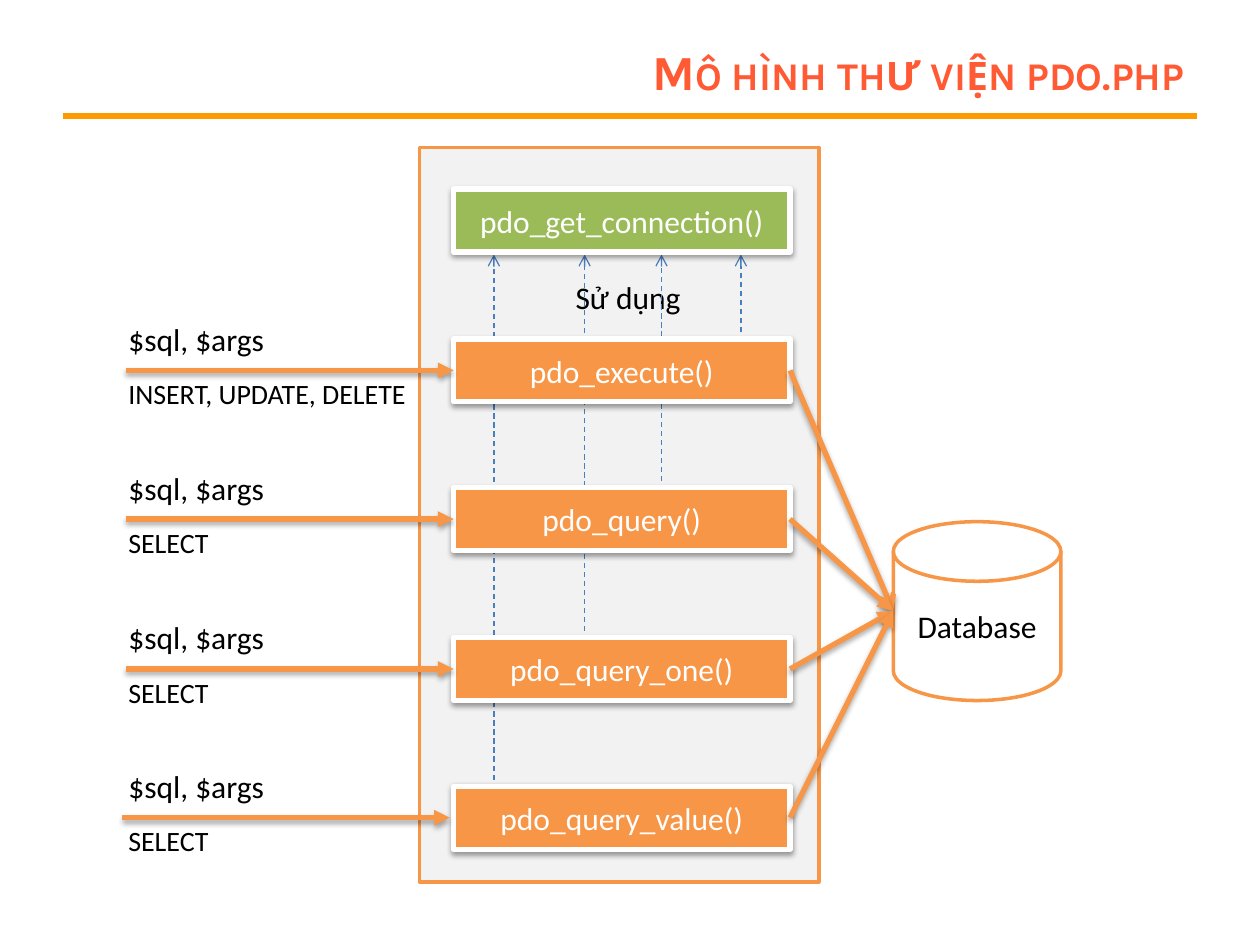
from dataclasses import dataclass

from lxml.etree import SubElement
from pptx import Presentation
from pptx.dml.color import RGBColor
from pptx.enum.dml import MSO_LINE as Dash
from pptx.enum.shapes import MSO_CONNECTOR as Link, MSO_SHAPE as Form
from pptx.enum.text import MSO_ANCHOR as Anchor, MSO_AUTO_SIZE as Fit, PP_ALIGN as Align
from pptx.oxml.ns import qn
from pptx.util import Pt

PX = 9144  # 100 px to the inch
ORANGE, GREEN, BLUE = "F79646", "9BBB59", "4B7EBC"
WHITE, BLACK, GRAY = "FFFFFF", "000000", "F2F2F2"
LEFT, RIGHT = 1, 3  # sides of a box


@dataclass
class Box:
    x: int
    y: int
    w: int
    h: int

    @property
    def mid(self) -> int:
        return self.y + self.h // 2

    def emu(self) -> tuple:
        return tuple(n * PX for n in (self.x, self.y, self.w, self.h))


@dataclass
class Call:
    name: str
    verb: str
    width: int  # of the verb label
    start: int  # left end of the arrow
    head: str  # arrowhead at the database


def color(code: str) -> RGBColor:
    return RGBColor.from_string(code)


def write(shape, text: str, size=18, font="Calibri", ink=BLACK, bold=False,
          align=Align.LEFT, anchor=Anchor.TOP, wrap=True, grow=False, small=False):
    frame = shape.text_frame
    frame.word_wrap = wrap
    frame.auto_size = Fit.SHAPE_TO_FIT_TEXT if grow else Fit.NONE
    frame.vertical_anchor = anchor
    para = frame.paragraphs[0]
    para.alignment = align
    run = para.add_run()
    run.text = text
    run.font.size, run.font.name, run.font.bold = Pt(size), font, bold
    run.font.color.rgb = color(ink)
    if small:
        run.font._element.set("cap", "small")


def shade(effects, alpha: int, dist: int):
    drop = SubElement(effects, qn("a:outerShdw"), blurRad="40000", dist=str(dist),
                      dir="5400000", rotWithShape="0")
    tint = SubElement(drop, qn("a:srgbClr"), val=BLACK)
    SubElement(tint, qn("a:alpha"), val=str(alpha * 1000))


def block(form, box: Box, fill: str, edge: str, width: float, drop=False):
    shape = slide.shapes.add_shape(form, *box.emu())
    shape.fill.solid()
    shape.fill.fore_color.rgb = color(fill)
    shape.line.color.rgb = color(edge)
    shape.line.width = Pt(width)
    shape.shadow.inherit = False
    if drop:
        shade(shape._element.spPr.find(qn("a:effectLst")), 38, 20000)
    return shape


def label(box: Box, text: str, **style):
    write(slide.shapes.add_textbox(*box.emu()), text, **style)


def stroke(x1: int, y1: int, x2: int, y2: int, ink=ORANGE, width=3.0,
           head="", dash=False, drop=False):
    line = slide.shapes.add_connector(Link.STRAIGHT, x1 * PX, y1 * PX, x2 * PX, y2 * PX)
    line.line.color.rgb = color(ink)
    line.line.width = Pt(width)
    if dash:
        line.line.dash_style = Dash.DASH
    if head:
        SubElement(line.line._get_or_add_ln(), qn("a:tailEnd"), type=head)
    effects = SubElement(line._element.spPr, qn("a:effectLst"))
    if drop:
        shade(effects, 35, 23000)
    return line


deck = Presentation()
deck.slide_width, deck.slide_height = 1000 * PX, 750 * PX
slide = deck.slides.add_slide(deck.slide_layouts[6])

# Title and rule
stroke(50, 92, 950, 92, ink="FF9900")
label(Box(225, 30, 725, 53), "Mô hình thư viện pdo.php", size=28, font="Karla",
      ink="FF5A33", bold=True, align=Align.RIGHT, anchor=Anchor.MIDDLE, small=True)

# Library panel and database
block(Form.RECTANGLE, Box(333, 117, 317, 583), GRAY, ORANGE, 2)
store = Box(709, 414, 133, 142)
disk = block(Form.FLOWCHART_MAGNETIC_DISK, store, WHITE, ORANGE, 2)
write(disk, "Database", align=Align.CENTER, anchor=Anchor.MIDDLE)

# Dashed arrows up to the connection, behind the boxes
label(Box(367, 216, 263, 40), "Sử dụng", align=Align.CENTER, grow=True)
for x, y in ((588, 271), (525, 389), (464, 508), (392, 626)):
    stroke(x, y, x, 202, ink=BLUE, width=0.75, head="arrow", dash=True)


def node(top: int, name: str, fill: str):
    box = Box(360, top, 267, 50)
    shape = block(Form.RECTANGLE, box, fill, WHITE, 3, drop=True)
    write(shape, name, ink=WHITE, align=Align.CENTER, anchor=Anchor.MIDDLE)
    return box, shape


# Functions with their inputs and links to the database
node(150, "pdo_get_connection()", GREEN)
calls = (
    Call("pdo_execute()", "INSERT, UPDATE, DELETE", 244, 100, "arrow"),
    Call("pdo_query()", "SELECT", 85, 100, "triangle"),
    Call("pdo_query_one()", "SELECT", 85, 100, "triangle"),
    Call("pdo_query_value()", "SELECT", 85, 97, "triangle"),
)
for row, call in enumerate(calls):
    box, shape = node(269 + round(row * 118.4), call.name, ORANGE)
    end = call.start + 260
    feed = stroke(call.start, box.mid, end, box.mid, head="triangle", drop=True)
    if end == box.x:
        feed.end_connect(shape, LEFT)
    link = stroke(box.x + box.w, box.mid, store.x, store.mid, head=call.head, drop=True)
    link.begin_connect(shape, RIGHT)
    label(Box(92, box.mid - 45, 129, 40), "$sql, $args", wrap=False, grow=True)
    label(Box(92, box.mid, call.width, 37), call.verb, size=16, wrap=False, grow=True)

deck.save("out.pptx")
